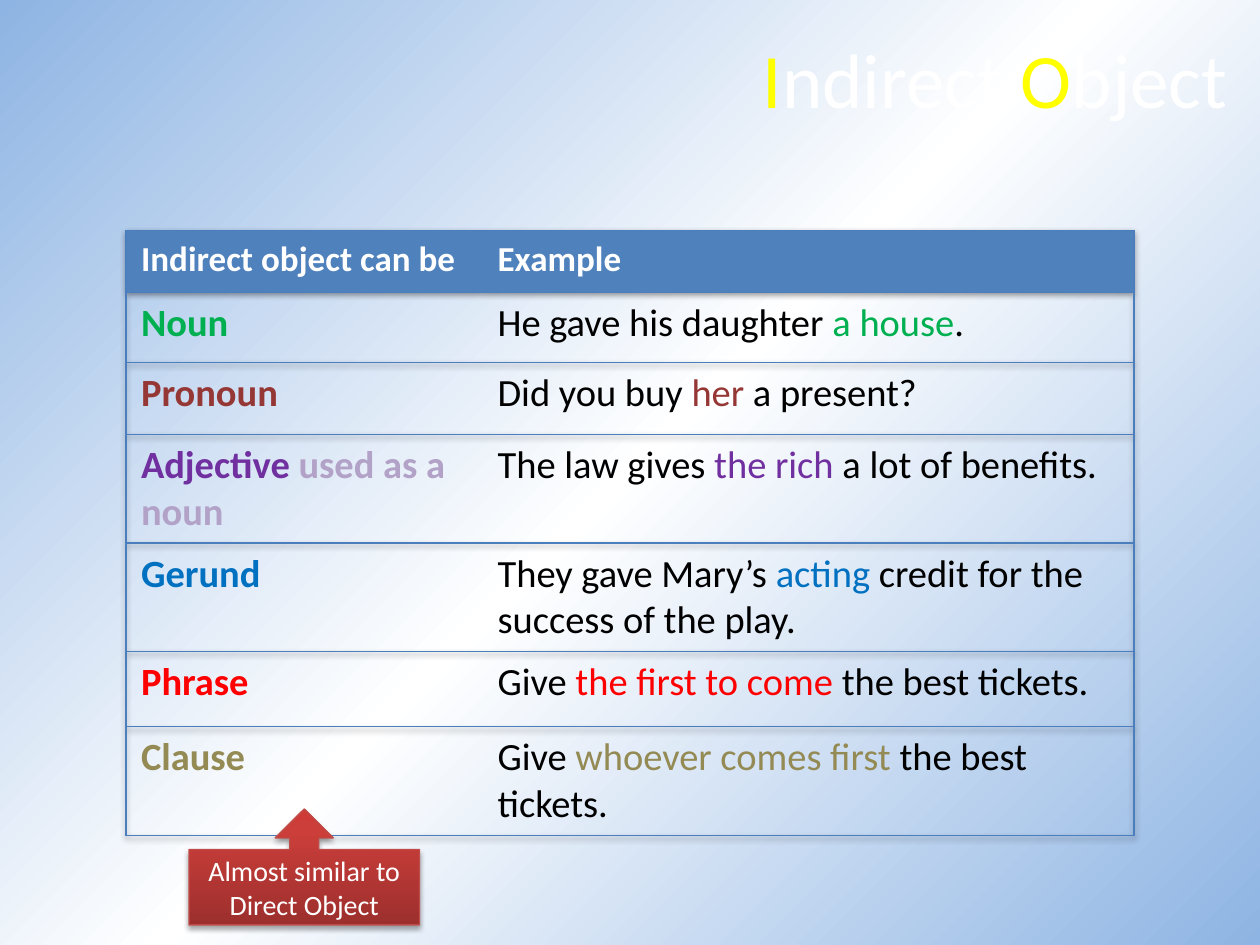
from lxml import etree
from pptx import Presentation
from pptx.dml.color import RGBColor
from pptx.enum.shapes import MSO_SHAPE
from pptx.enum.text import MSO_ANCHOR, PP_ALIGN
from pptx.oxml import parse_xml
from pptx.oxml.ns import nsdecls, qn
from pptx.util import Inches, Pt

CALLOUT = MSO_SHAPE.UP_ARROW_CALLOUT
MIDDLE = MSO_ANCHOR.MIDDLE
RIGHT, CENTER = PP_ALIGN.RIGHT, PP_ALIGN.CENTER
FONT = "Calibri"
WHITE, BLACK, YELLOW = "FFFFFF", "000000", "FFFF00"
HEADER_FILL, BORDER = "4F81BD", "4B7EBC"
NO_STYLE = "{2D5ABB26-0587-4C30-8999-92F81FD0307C}"

# Content
TITLE = [("I", YELLOW), ("ndirect ", WHITE), ("O", YELLOW), ("bject", WHITE)]
HEADER = ("Indirect object can be", "Example")
# kind, extra words, (before, marked, after), colour, extra colour, row height
ROWS = [
    ("Noun", "", ("He gave his daughter ", "a house", "."), "00B050", None, 0.56),
    ("Pronoun", "", ("Did you buy ", "her ", "a present?"), "953735", None, 0.57),
    ("Adjective ", "used as a noun", ("The law gives ", "the rich ", "a lot of benefits."),
     "7030A0", "B3A2C7", 0.86),
    ("Gerund", "", ("They gave Mary’s ", "acting ", "credit for the success of the play."),
     "0070C0", None, 0.86),
    ("Phrase", "", ("Give ", "the first to come ", "the best tickets."), "FF0000", None, 0.6),
    ("Clause", "", ("Give ", "whoever comes first ", "the best tickets."),
     "948A54", None, 0.86),
]
HEADER_HEIGHT = 0.49
COLUMNS = (2.83, 5.17)
NOTE = "Almost similar to Direct Object"
PAGE_STOPS = [(0, "8EB4E3"), (50, WHITE), (100, "8EB4E3")]
NOTE_STOPS = [(0, "9C2F2D"), (80, "CB3E3A"), (100, "CE3B37")]


def rgb(color):
    return RGBColor.from_string(color)


def write(tf, runs, size, bold=False, align=None):
    p = tf.paragraphs[0]
    p.alignment = align
    for text, color in runs:
        r = p.add_run()
        r.text = text
        r.font.name, r.font.size, r.font.bold = FONT, Pt(size), bold
        r.font.color.rgb = rgb(color)


def gradient(fill, root, stops, angle):
    fill.gradient()
    fill.gradient_angle = angle
    gs_list = next(root.iter(qn("a:gsLst")))
    for gs in list(gs_list):
        gs_list.remove(gs)
    for pos, color in stops:
        gs = etree.SubElement(gs_list, qn("a:gs"), pos=str(pos * 1000))
        etree.SubElement(gs, qn("a:srgbClr"), val=color)


def shadow(alpha, distance):
    return parse_xml(
        f'<a:effectLst {nsdecls("a")}><a:outerShdw blurRad="{Pt(3.1)}" dist="{Pt(distance)}" '
        f'dir="5400000" rotWithShape="0"><a:srgbClr val="{BLACK}">'
        f'<a:alpha val="{alpha * 1000}"/></a:srgbClr></a:outerShdw></a:effectLst>')


def style_cell(cell, sides, fill=None):
    cell.margin_left = cell.margin_right = Inches(0.12)
    cell.margin_top = cell.margin_bottom = Inches(0.06)
    tc_pr = cell._tc.get_or_add_tcPr()
    for side in sides:
        ln = etree.SubElement(tc_pr, qn(f"a:ln{side}"), w=str(Pt(0.75)))
        solid = etree.SubElement(ln, qn("a:solidFill"))
        etree.SubElement(solid, qn("a:srgbClr"), val=BORDER)
    if fill:
        cell.fill.solid()
        cell.fill.fore_color.rgb = rgb(fill)
    else:
        cell.fill.background()


prs = Presentation()
prs.slide_width, prs.slide_height = Inches(10), Inches(7.5)
s = prs.slides.add_slide(prs.slide_layouts[6])
gradient(s.background.fill, s._element, PAGE_STOPS, 315)

# Title
sp = s.shapes.add_textbox(Inches(0.17), Inches(0.08), Inches(9.67), Inches(1.08))
tf = sp.text_frame
tf.word_wrap, tf.vertical_anchor = True, MIDDLE
write(tf, TITLE, 44, align=RIGHT)

# Table
heights = [HEADER_HEIGHT] + [row[-1] for row in ROWS]
frame = s.shapes.add_table(len(heights), len(COLUMNS), Inches(1), Inches(1.83),
                           Inches(sum(COLUMNS)), Inches(sum(heights)))
table = frame.table
table.horz_banding = False
tbl_pr = table._tbl.tblPr
tbl_pr.find(qn("a:tableStyleId")).text = NO_STYLE
tbl_pr.insert(0, shadow(38, 1.6))
for column, width in zip(table.columns, COLUMNS):
    column.width = Inches(width)
for row, height in zip(table.rows, heights):
    row.height = Inches(height)
    fill = HEADER_FILL if row is table.rows[0] or height == HEADER_HEIGHT else None
    for cell, sides in zip(row.cells, ("LTB", "RTB")):
        style_cell(cell, sides, fill)
for i, text in enumerate(HEADER):
    write(table.cell(0, i).text_frame, [(text, WHITE)], 20, bold=True)
for i, (kind, extra, example, color, extra_color, _) in enumerate(ROWS, 1):
    label = [(kind, color)] + ([(extra, extra_color)] if extra else [])
    write(table.cell(i, 0).text_frame, label, 22, bold=True)
    write(table.cell(i, 1).text_frame, zip(example, (BLACK, color, BLACK)), 22)

# Callout under the last row
sp = s.shapes.add_shape(CALLOUT, Inches(1.5), Inches(6.42), Inches(1.83), Inches(0.92))
gradient(sp.fill, sp._element, NOTE_STOPS, 90)
sp.line.color.rgb, sp.line.width = rgb("BF4C48"), Pt(0.75)
sp._element.spPr.append(shadow(35, 1.8))
tf = sp.text_frame
tf.word_wrap, tf.vertical_anchor = True, MIDDLE
write(tf, [(NOTE, WHITE)], 16, align=CENTER)

prs.save("out.pptx")
